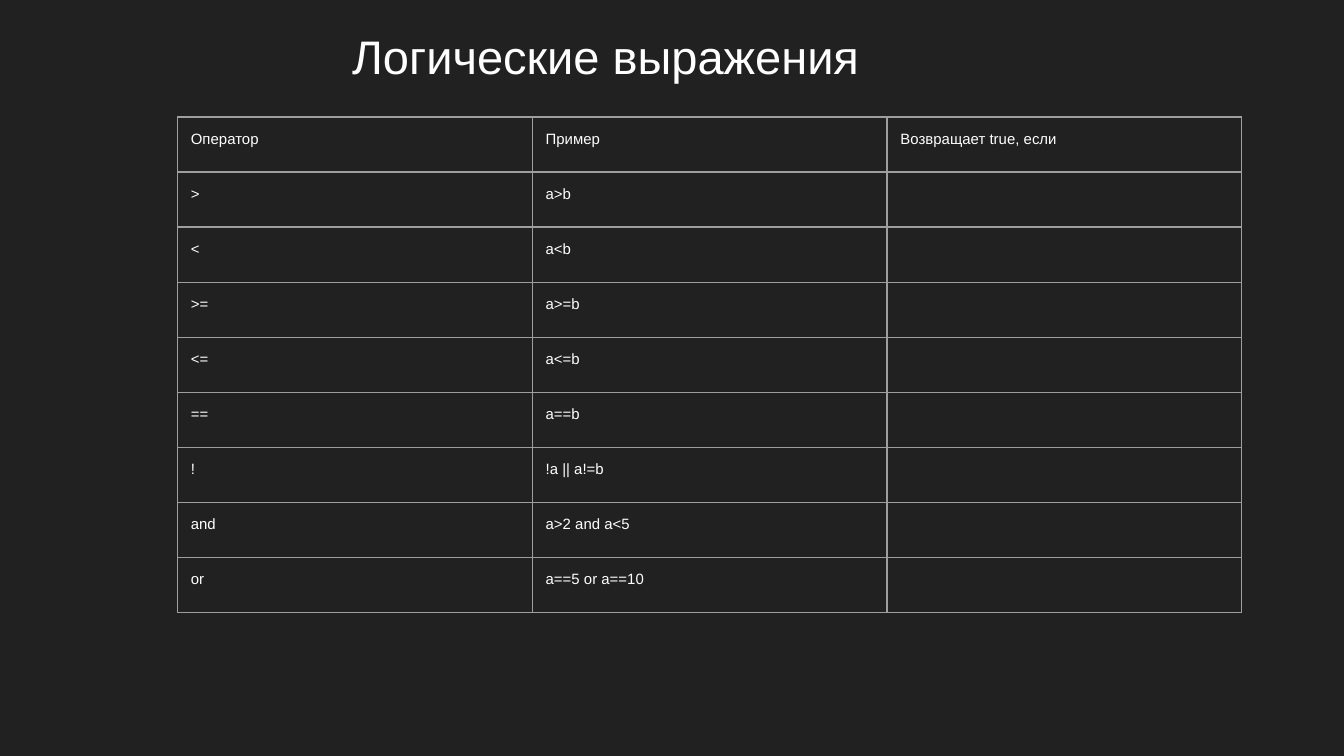
from typing import NamedTuple

from lxml import etree
from pptx import Presentation
from pptx.dml.color import RGBColor
from pptx.enum.text import MSO_ANCHOR, PP_ALIGN
from pptx.oxml.ns import qn
from pptx.util import Inches, Pt

LEFT, TOP, MIDDLE = PP_ALIGN.LEFT, MSO_ANCHOR.TOP, MSO_ANCHOR.MIDDLE
BACKGROUND = RGBColor(0x21, 0x21, 0x21)
TEXT = RGBColor(0xFF, 0xFF, 0xFF)
BORDER = RGBColor(0x9E, 0x9E, 0x9E)
FONT = "Arial"
SLIDE_WIDTH = Inches(10)
SLIDE_HEIGHT = SLIDE_WIDTH * 9 // 16
MARGIN = Inches(0.1)
COLUMN_WIDTH, ROW_HEIGHT = Inches(2.64), Inches(0.41)
TITLE_ONLY = 5


class OperatorRow(NamedTuple):
    operator: str
    example: str
    meaning: str = ""


ROWS = [
    OperatorRow("Оператор", "Пример", "Возвращает true, если"),
    OperatorRow(">", "a>b"),
    OperatorRow("<", "a<b"),
    OperatorRow(">=", "a>=b"),
    OperatorRow("<=", "a<=b"),
    OperatorRow("==", "a==b"),
    OperatorRow("!", "!a || a!=b"),
    OperatorRow("and", "a>2 and a<5"),
    OperatorRow("or", "a==5 or a==10"),
]


def set_margins(target) -> None:
    target.margin_left = target.margin_right = MARGIN
    target.margin_top = target.margin_bottom = MARGIN


def format_paragraph(paragraph, size: float) -> None:
    paragraph.alignment = LEFT
    font = paragraph.font
    font.name, font.size = FONT, Pt(size)
    font.color.rgb = TEXT


def add_borders(cell) -> None:
    properties = cell._tc.get_or_add_tcPr()
    for side in ("lnL", "lnR", "lnT", "lnB"):
        line = etree.SubElement(properties, qn(f"a:{side}"), w=str(Pt(0.75)))
        fill = etree.SubElement(line, qn("a:solidFill"))
        etree.SubElement(fill, qn("a:srgbClr"), val=str(BORDER))


def fill_cell(cell, text: str) -> None:
    add_borders(cell)
    cell.fill.background()
    set_margins(cell)
    cell.vertical_anchor = TOP
    cell.text = text
    paragraph = cell.text_frame.paragraphs[0]
    format_paragraph(paragraph, 8)
    if not text:
        # The end mark sets the height of an empty line.
        etree.SubElement(paragraph._p, qn("a:endParaRPr"), sz="800")


def add_title(slide, text: str) -> None:
    title = slide.shapes.title
    title.left, title.top = Inches(2.52), Inches(0.1)
    title.width, title.height = Inches(5.76), Inches(0.63)
    frame = title.text_frame
    set_margins(frame)
    frame.word_wrap = True
    frame.vertical_anchor = MIDDLE
    frame.text = text
    format_paragraph(frame.paragraphs[0], 25.2)


def add_operator_table(slide, rows: list[OperatorRow]) -> None:
    column_count = len(OperatorRow._fields)
    table = slide.shapes.add_table(
        len(rows), column_count, Inches(1.32), Inches(0.87),
        COLUMN_WIDTH * column_count, ROW_HEIGHT * len(rows),
    ).table
    table.first_row = table.horz_banding = False
    for column in table.columns:
        column.width = COLUMN_WIDTH
    for table_row, values in zip(table.rows, rows):
        table_row.height = ROW_HEIGHT
        for cell, text in zip(table_row.cells, values):
            fill_cell(cell, text)


def main() -> None:
    presentation = Presentation()
    presentation.slide_width = SLIDE_WIDTH
    presentation.slide_height = SLIDE_HEIGHT
    slide = presentation.slides.add_slide(presentation.slide_layouts[TITLE_ONLY])
    slide.background.fill.solid()
    slide.background.fill.fore_color.rgb = BACKGROUND
    add_title(slide, "Логические выражения")
    add_operator_table(slide, ROWS)
    presentation.save("out.pptx")


if __name__ == "__main__":
    main()
